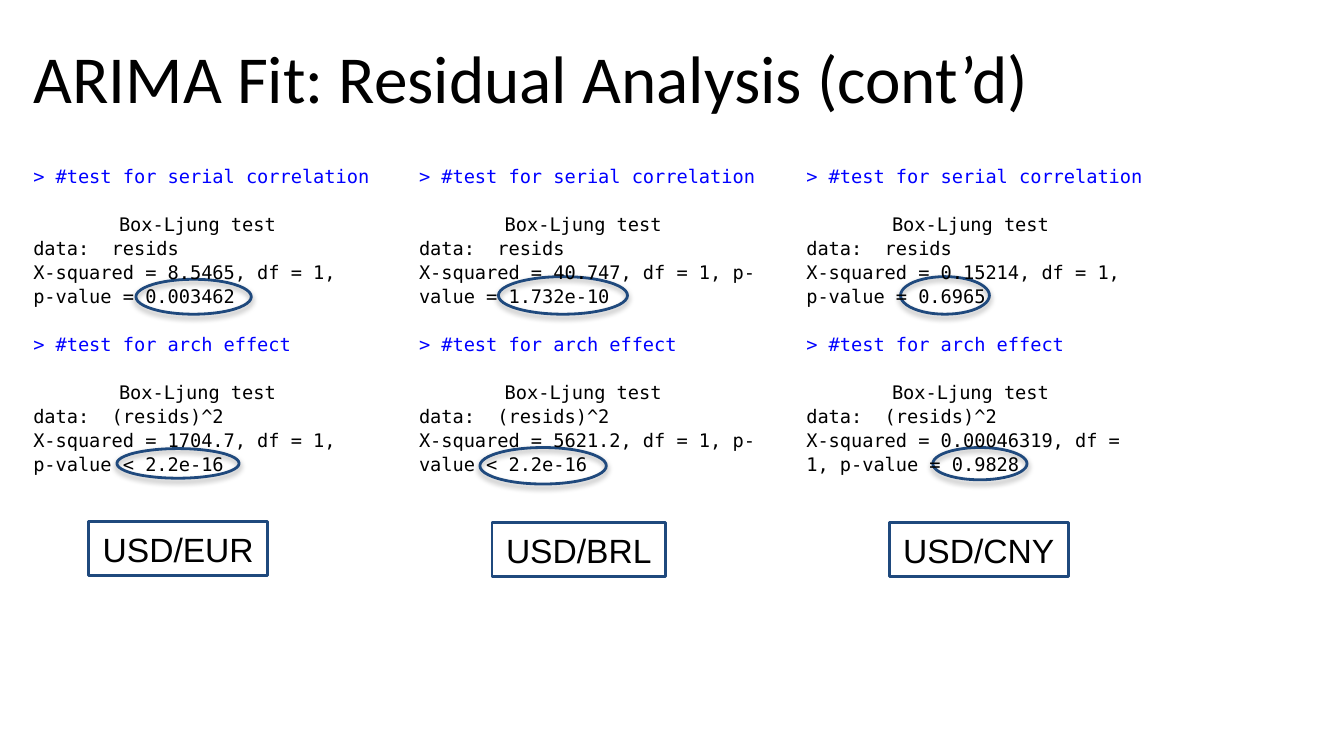
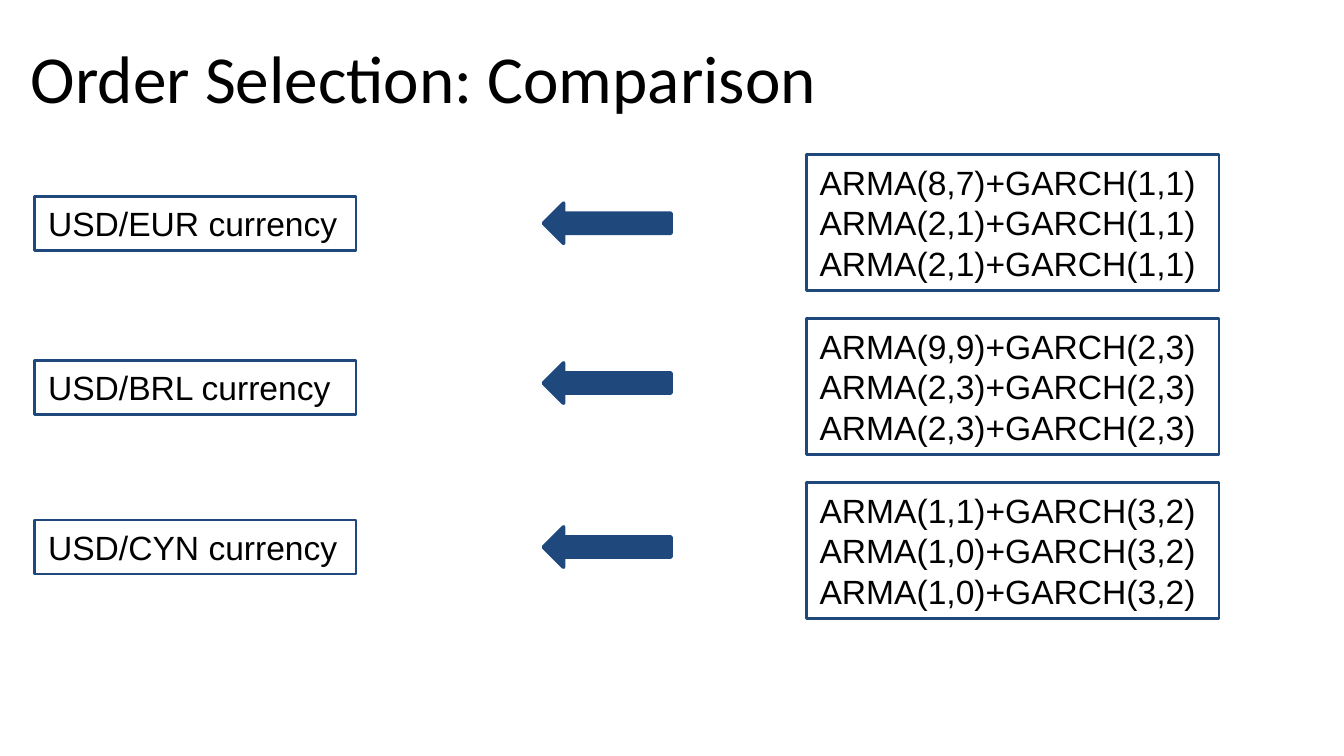
from dataclasses import dataclass

from lxml.etree import SubElement
from pptx import Presentation
from pptx.dml.color import RGBColor
from pptx.enum.shapes import MSO_SHAPE
from pptx.enum.text import MSO_ANCHOR, MSO_AUTO_SIZE, PP_ALIGN
from pptx.oxml.ns import qn
from pptx.util import Cm, Pt


@dataclass(frozen=True)
class Theme:
    ink: RGBColor = RGBColor(0x00, 0x00, 0x00)
    navy: RGBColor = RGBColor(0x1F, 0x49, 0x7D)
    command: RGBColor = RGBColor(0x00, 0x00, 0xFF)
    title_font: str = "Calibri"
    body_font: str = "Arial"
    code_font: str = "DejaVu Sans Mono"
    title_size: float = 36
    body_size: float = 18
    code_size: float = 10
    code_spacing: float = 1.07
    code_gap: float = 12.86
    line: float = 1.5
    arrow_line: float = 2


def write(tf, text, *, font, size, color, align=PP_ALIGN.LEFT,
          spacing=None, after=0, indent=None):
    """Write one paragraph, reusing the first one while it is empty."""
    p = tf.paragraphs[0] if not tf.text else tf.add_paragraph()
    p.alignment = align
    p.space_before, p.space_after = Pt(0), Pt(after)
    if spacing:
        p.line_spacing = spacing
    if indent:
        pPr = p._p.get_or_add_pPr()
        pPr.set("marL", "0")
        pPr.set("indent", str(indent))
    r = p.add_run()
    r.text = text
    r.font.name, r.font.size = font, Pt(size)
    r.font.color.rgb = color


class Deck:
    def __init__(self, theme):
        self.theme = theme
        self.prs = Presentation()
        self.prs.slide_width, self.prs.slide_height = Cm(25.4), Cm(14.29)
        self.s = None

    def slide(self, title, left):
        """Start a title-only slide."""
        t = self.theme
        self.s = self.prs.slides.add_slide(self.prs.slide_layouts[5])
        sp = self.s.shapes.title
        sp.left, sp.top, sp.width, sp.height = Cm(left), Cm(0.58), Cm(23.77), Cm(1.73)
        tf = sp.text_frame
        tf.auto_size = MSO_AUTO_SIZE.NONE
        tf.vertical_anchor = MSO_ANCHOR.MIDDLE
        write(tf, title, font=t.title_font, size=t.title_size, color=t.ink)

    def shape(self, kind, box, line, filled=False):
        sp = self.s.shapes.add_shape(kind, *map(Cm, box))
        sp.shadow.inherit = False
        if filled:
            sp.fill.solid()
            sp.fill.fore_color.rgb = self.theme.navy
        else:
            sp.fill.background()
        sp.line.color.rgb, sp.line.width = self.theme.navy, Pt(line)
        return sp

    def frame(self, lines, box, align=PP_ALIGN.LEFT, wrap=True):
        """Outlined box with one paragraph per line."""
        t = self.theme
        tf = self.shape(MSO_SHAPE.RECTANGLE, box, t.line).text_frame
        tf.word_wrap = wrap
        tf.auto_size = MSO_AUTO_SIZE.SHAPE_TO_FIT_TEXT
        for text in lines:
            write(tf, text, font=t.body_font, size=t.body_size, color=t.ink, align=align)

    def ring(self, box):
        """Ellipse with a soft shadow, used to mark a p-value."""
        sp = self.shape(MSO_SHAPE.OVAL, box, self.theme.line)
        effects = sp._element.spPr.find(qn("a:effectLst"))
        shadow = SubElement(effects, qn("a:outerShdw"), blurRad=str(Pt(3.1)),
                            dist=str(Pt(1.8)), dir="5400000", rotWithShape="0")
        color = SubElement(shadow, qn("a:srgbClr"), val="000000")
        SubElement(color, qn("a:alpha"), val="35000")

    def arrow(self, box):
        sp = self.shape(MSO_SHAPE.RIGHT_ARROW, box, self.theme.arrow_line, filled=True)
        sp.rotation = 180

    def console(self, tests, box):
        """Test output: command, heading, data and result lines."""
        t = self.theme
        tf = self.s.shapes.add_textbox(*map(Cm, box)).text_frame
        tf.word_wrap = True
        tf.auto_size = MSO_AUTO_SIZE.SHAPE_TO_FIT_TEXT
        style = dict(font=t.code_font, size=t.code_size, spacing=t.code_spacing)
        for i, (command, data, results) in enumerate(tests):
            write(tf, f"> #test for {command}", color=t.command, after=t.code_gap, **style)
            write(tf, "Box-Ljung test", color=t.ink, indent=Cm(1.62), **style)
            write(tf, f"data:  {data}", color=t.ink, **style)
            for text in results:
                last = text == results[-1] and i < len(tests) - 1
                write(tf, text, color=t.ink, after=t.code_gap if last else 0, **style)


# Per currency: label and its box, output left and width, results, rings
RESIDUALS = [
    ("USD/EUR", (1.68, 9.86, 3.38, 1.02), 0.38, 7.49,
     (["X-squared = 8.5465, df = 1,", "p-value = 0.003462"],
      ["X-squared = 1704.7, df = 1,", "p-value < 2.2e-16"]),
     [(2.57, 5.28, 2.18, 0.66), (2.21, 8.48, 2.31, 0.56)]),
    ("USD/BRL", (9.3, 9.88, 3.28, 1.02), 7.67, 7.04,
     (["X-squared = 40.747, df = 1, p-value = 1.732e-10"],
      ["X-squared = 5621.2, df = 1, p-value < 2.2e-16"]),
     [(9.42, 5.23, 2.44, 0.71), (9.07, 8.46, 2.39, 0.69)]),
    ("USD/CNY", (16.81, 9.88, 3.38, 1.02), 14.99, 7.04,
     (["X-squared = 0.15214, df = 1, p-value = 0.6965"],
      ["X-squared = 0.00046319, df = 1, p-value = 0.9828"]),
     [(17.02, 5.23, 1.68, 0.71), (17.63, 8.46, 1.78, 0.61)]),
]

# Per currency: name, tops of label and arrow, model orders
ORDERS = [
    ("USD/EUR", 3.71, 3.84, ["8,7", "2,1", "2,1"], "1,1"),
    ("USD/BRL", 6.81, 6.86, ["9,9", "2,3", "2,3"], "2,3"),
    ("USD/CYN", 9.83, 9.96, ["1,1", "1,0", "1,0"], "3,2"),
]


def residual_slide(deck):
    deck.slide("ARIMA Fit: Residual Analysis (cont’d)", 0.38)
    for label, label_box, left, width, (serial, arch), rings in RESIDUALS:
        deck.frame([label], label_box, align=PP_ALIGN.CENTER, wrap=False)
        for box in rings:
            deck.ring(box)
        deck.console([("serial correlation", "resids", serial),
                      ("arch effect", "(resids)^2", arch)],
                     (left, 2.97, width, 6.17))


def order_slide(deck):
    deck.slide("Order Selection: Comparison", 0.33)
    for i, (pair, label_top, arrow_top, arma, garch) in enumerate(ORDERS):
        deck.frame([f"{pair} currency"], (0.66, label_top, 6.07, 1.02))
        deck.arrow((10.27, arrow_top, 2.41, 0.76))
        deck.frame([f"ARMA({order})+GARCH({garch})" for order in arma],
                   (15.24, 2.92 + 3.1 * i, 7.8, 2.57))


def main():
    deck = Deck(Theme())
    residual_slide(deck)
    order_slide(deck)
    deck.prs.save("out.pptx")


if __name__ == "__main__":
    main()
